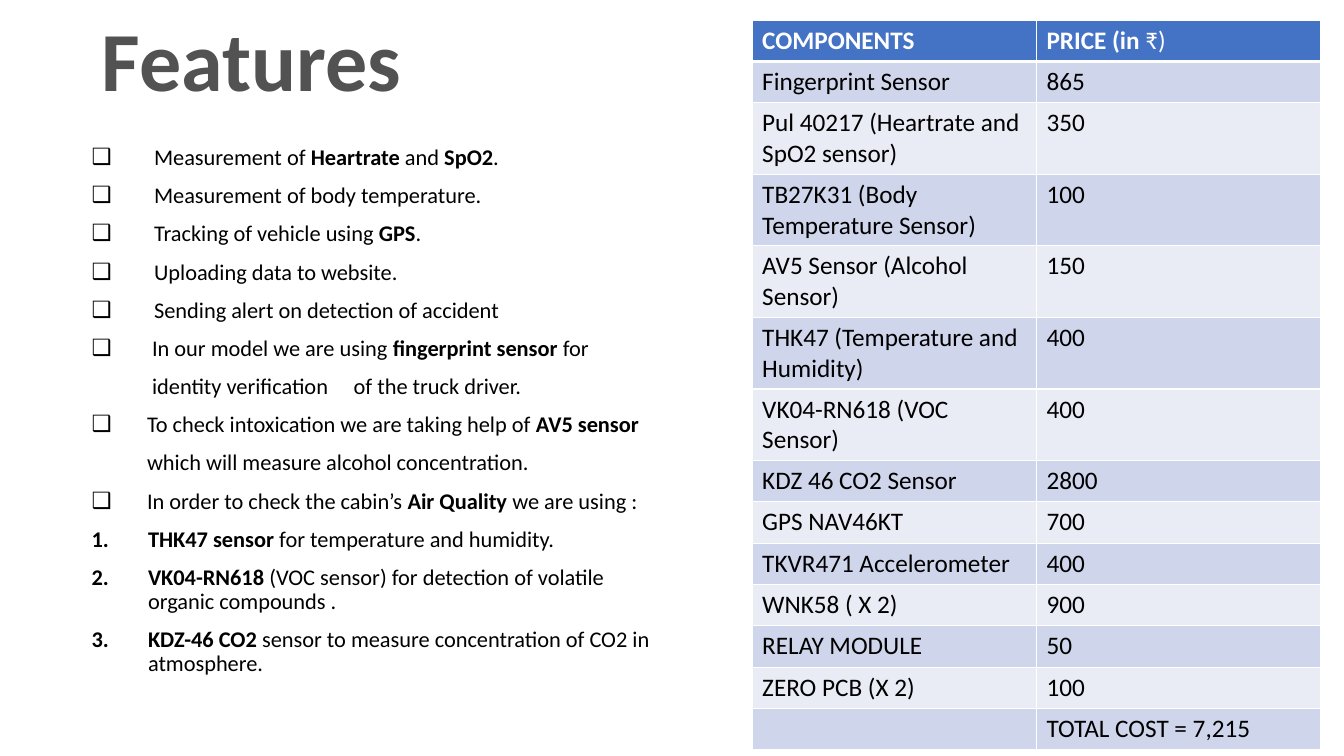
from dataclasses import dataclass

from lxml import etree
from pptx import Presentation
from pptx.dml.color import RGBColor
from pptx.enum import text
from pptx.oxml.ns import qn
from pptx.slide import Slide
from pptx.util import Inches, Pt

FONT = "Calibri"
COLORS = {
    "title": "525252",
    "text": "000000",
    "header_text": "FFFFFF",
    "header": "4472C4",
    "header_rule": "FFFFFF",
    "odd_row": "CFD5EA",
    "even_row": "E9EBF5",
}
BOX, NUMBER, NONE = "box", "number", "none"


@dataclass(frozen=True)
class Feature:
    """One line of the list; parts between asterisks are bold."""
    content: str
    indent: float = 0.62
    marker: str = BOX
    tab: float | None = None


@dataclass(frozen=True)
class Component:
    label: str
    price: str
    lines: int = 1


FEATURES = [
    Feature("Measurement of *Heartrate* and *SpO2*."),
    Feature("Measurement of body temperature."),
    Feature("Tracking of vehicle using *GPS*."),
    Feature("Uploading data to website."),
    Feature("Sending alert on detection of accident"),
    Feature("In our model we are using *fingerprint sensor *for", 0.6),
    Feature("identity verification\tof the truck driver.", 0.6, NONE, 2.59),
    Feature("To check intoxication we are taking help of *AV5 sensor*", 0.55),
    Feature("which will measure alcohol concentration.", 0.55, NONE),
    Feature("In order to check the cabin’s *Air Quality *we are using :", 0.55),
    Feature("*THK47 sensor *for temperature and humidity.", 0.56, NUMBER),
    Feature("*VK04-RN618* (VOC sensor) for detection of volatile organic compounds .",
            0.56, NUMBER),
    Feature("*KDZ-46 CO2 *sensor to measure concentration of CO2 in atmosphere.",
            0.56, NUMBER),
]

COMPONENTS = [
    Component("*COMPONENTS*", "*PRICE (in *₹)"),
    Component("Fingerprint Sensor", "865"),
    Component("Pul 40217 (Heartrate and SpO2 sensor)", "350", 2),
    Component("TB27K31 (Body Temperature Sensor)", "100", 2),
    Component("AV5 Sensor (Alcohol Sensor)", "150", 2),
    Component("THK47 (Temperature and Humidity)", "400", 2),
    Component("VK04-RN618 (VOC Sensor)", "400", 2),
    Component("KDZ 46 CO2 Sensor", "2800"),
    Component("GPS NAV46KT", "700"),
    Component("TKVR471 Accelerometer", "400"),
    Component("WNK58 ( X 2)", "900"),
    Component("RELAY MODULE", "50"),
    Component("ZERO PCB (X 2)", "100"),
    Component("", "TOTAL COST = 7,215"),
]


def rgb(role: str) -> RGBColor:
    return RGBColor.from_string(COLORS[role])


def add_runs(paragraph, content: str, size: float, role: str) -> None:
    """Add runs, switching bold on and off at each asterisk."""
    for index, part in enumerate(content.split("*")):
        if part:
            run = paragraph.add_run()
            run.text = part
            run.font.name = FONT
            run.font.size = Pt(size)
            run.font.bold = index % 2 == 1
            run.font.color.rgb = rgb(role)


def set_marker(paragraph, feature: Feature) -> None:
    """Set the hanging indent, the bullet or number, and the tab stop."""
    properties = paragraph._p.get_or_add_pPr()
    indent = Inches(feature.indent)
    properties.set("marL", str(indent))
    properties.set("indent", str(0 if feature.marker == NONE else -indent))
    if feature.marker == BOX:
        etree.SubElement(properties, qn("a:buFont"), typeface=FONT)
        etree.SubElement(properties, qn("a:buChar"), char="❑")
    elif feature.marker == NUMBER:
        etree.SubElement(properties, qn("a:buAutoNum"), type="arabicPeriod")
    else:
        etree.SubElement(properties, qn("a:buNone"))
    if feature.tab is not None:
        tabs = etree.SubElement(properties, qn("a:tabLst"))
        etree.SubElement(tabs, qn("a:tab"), pos=str(Inches(feature.tab)), algn="l")


def add_title(slide: Slide) -> None:
    title = slide.shapes.title
    title.left, title.top = Inches(0.91), Inches(-0.2)
    title.width, title.height = Inches(5.64), Inches(1.34)
    frame = title.text_frame
    frame.auto_size = text.MSO_AUTO_SIZE.NONE
    frame.vertical_anchor = text.MSO_ANCHOR.BOTTOM
    heading = frame.paragraphs[0]
    heading.alignment = text.PP_ALIGN.LEFT
    heading.line_spacing = 0.9
    add_runs(heading, "*Features*", 60, "title")


def add_features(slide: Slide) -> None:
    frame = slide.shapes.add_textbox(
        Inches(0.81), Inches(0.99), Inches(5.75), Inches(6.31)).text_frame
    frame.word_wrap = True
    frame.margin_top = Inches(0.46)
    for index, feature in enumerate(FEATURES):
        paragraph = frame.add_paragraph() if index else frame.paragraphs[0]
        paragraph.line_spacing = 0.9
        paragraph.space_before = Pt(10 if index else 0)
        set_marker(paragraph, feature)
        add_runs(paragraph, feature.content, 16, "text")


def add_bottom_rule(cell, width: float, role: str) -> None:
    rule = etree.Element(qn("a:lnB"), w=str(Pt(width)))
    fill = etree.SubElement(rule, qn("a:solidFill"))
    etree.SubElement(fill, qn("a:srgbClr"), val=COLORS[role])
    cell._tc.get_or_add_tcPr().insert(0, rule)


def add_price_table(slide: Slide) -> None:
    table = slide.shapes.add_table(
        len(COMPONENTS), 2, Inches(7.46), Inches(0.2), Inches(5.64), Inches(7.1)).table
    for index, component in enumerate(COMPONENTS):
        table.rows[index].height = Inches(0.11 + 0.3 * component.lines)
        if index == 0:
            fill, ink = "header", "header_text"
        else:
            fill, ink = "odd_row" if index % 2 else "even_row", "text"
        for cell, content in zip(table.rows[index].cells,
                                 (component.label, component.price)):
            cell.fill.solid()
            cell.fill.fore_color.rgb = rgb(fill)
            add_runs(cell.text_frame.paragraphs[0], content, 18, ink)
            if index == 0:
                add_bottom_rule(cell, 3, "header_rule")


def main() -> None:
    deck = Presentation()
    deck.slide_width, deck.slide_height = Inches(13.33), Inches(7.5)
    slide = deck.slides.add_slide(deck.slide_layouts[5])
    add_title(slide)
    add_features(slide)
    add_price_table(slide)
    deck.save("out.pptx")


if __name__ == "__main__":
    main()
